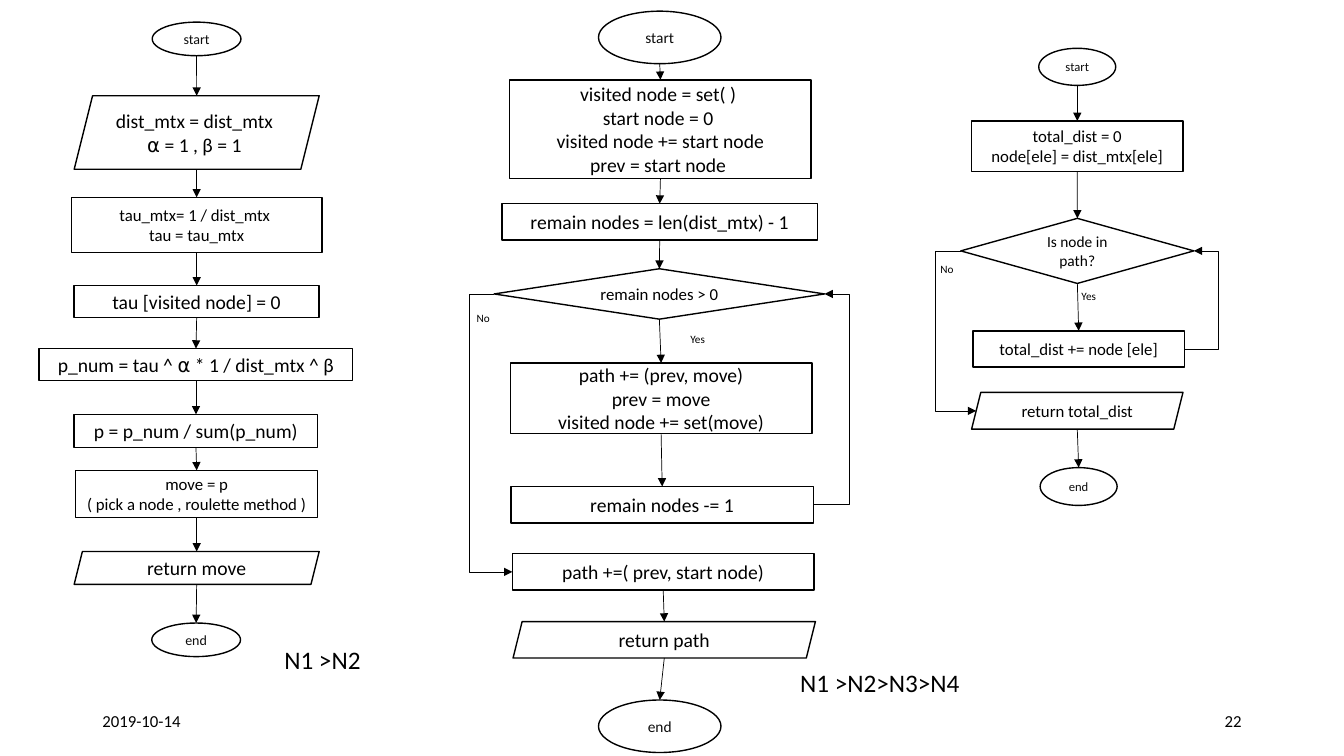
from itertools import pairwise

from lxml.etree import SubElement
from pptx import Presentation
from pptx.dml.color import RGBColor
from pptx.enum.shapes import MSO_CONNECTOR, MSO_SHAPE
from pptx.enum.text import MSO_ANCHOR, PP_ALIGN
from pptx.oxml.ns import qn
from pptx.util import Pt

BLACK = RGBColor(0, 0, 0)
SOFT = RGBColor(0x0D, 0x0D, 0x0D)
FONT = "Calibri"

BOX = MSO_SHAPE.RECTANGLE
DATA = MSO_SHAPE.PARALLELOGRAM
TEST = MSO_SHAPE.DIAMOND
OVAL = MSO_SHAPE.OVAL
JOINED = (BOX, TEST)
TOP, BOTTOM = 0, 2

# Each step: kind, left, top, width, height, text size, text
MOVE = [
    (OVAL, 108.7, 15.8, 63.4, 24, 10, "start"),
    (DATA, 53, 68.4, 175, 52.5, 14, "dist_mtx = dist_mtx \n⍺ = 1 , β = 1 "),
    (BOX, 51, 141, 179, 39.5, 12, "tau_mtx= 1 / dist_mtx \ntau = tau_mtx"),
    (BOX, 53, 204, 175, 23, 14, "tau [visited node] = 0"),
    (BOX, 28, 249, 224, 23, 14, "p_num = tau ^ ⍺ * 1 / dist_mtx ^ β"),
    (BOX, 53, 296, 174, 23.5, 14, "p = p_num / sum(p_num)"),
    (BOX, 54, 336, 173, 33.5, 12,
     "move = p\n( pick a node , roulette method )"),
    (DATA, 53, 394, 175, 23.4, 14, "return move"),
    (OVAL, 108.4, 445, 63.4, 24, 10, "end"),
]
PATH = [
    (OVAL, 427.5, 8, 87.5, 37.5, 11, "start"),
    (BOX, 364, 57, 215.5, 70.5, 14,
     "visited node = set( ) \nstart node = 0 \n"
     "visited node += start node\nprev = start node "),
    (BOX, 358.5, 145.5, 225.5, 26, 14, "remain nodes = len(dist_mtx) - 1"),
    (TEST, 353, 192, 236, 36, 12, "remain nodes > 0"),
    (BOX, 364.5, 259.3, 215.5, 50.5, 14,
     "path += (prev, move)\nprev = move\nvisited node += set(move)"),
    (BOX, 365, 347.5, 216, 26, 14, "remain nodes -= 1"),
    (BOX, 366, 395.5, 215.5, 26, 14, "path +=( prev, start node)"),
    (DATA, 366.5, 444, 216, 26, 14, "return path"),
    (OVAL, 427.5, 500, 87.5, 37.5, 11, "end"),
]
DIST = [
    (OVAL, 742, 34.5, 55, 26.5, 9, "start"),
    (BOX, 694, 86.4, 151, 36, 12,
     "total_dist = 0\nnode[ele] = dist_mtx[ele]"),
    (TEST, 686.3, 156, 166.5, 46.5, 11, "Is node in path?"),
    (BOX, 695, 236.3, 151, 26, 12, "total_dist += node [ele]"),
    (DATA, 694, 280.3, 151, 26.3, 12, "return total_dist"),
    (OVAL, 743, 334, 55, 27, 9, "end"),
]

# Each label: left, top, width, height, text, format
LABELS = [
    (66, 500.5, 216, 28.8, "2019-10-14",
     dict(size=12, anchor=MSO_ANCHOR.MIDDLE)),
    (678, 500.5, 216, 28.8, "22",
     dict(size=12, anchor=MSO_ANCHOR.MIDDLE, align=PP_ALIGN.RIGHT)),
    (486, 234, 39, 17, "Yes", dict(size=8)),
    (333.4, 219, 33, 17, "No", dict(size=8)),
    (765.4, 203, 39, 17, "Yes", dict(size=8)),
    (664.6, 183.6, 33, 17, "No", dict(size=8)),
    (196, 456.5, 70, 29, "N1 >N2", dict(size=18, wrap=False)),
    (564.5, 473, 130, 29, "N1 >N2>N3>N4", dict(size=18, wrap=False)),
]


def write(shape, text, size, color=BLACK, align=PP_ALIGN.LEFT,
          anchor=MSO_ANCHOR.TOP, wrap=True):
    frame = shape.text_frame
    frame.text = text
    frame.word_wrap = wrap
    frame.vertical_anchor = anchor
    for para in frame.paragraphs:
        para.alignment = align
        para.font.size = Pt(size)
        para.font.name = FONT
        para.font.color.rgb = color


def label(slide, left, top, width, height, text, form):
    box = slide.shapes.add_textbox(Pt(left), Pt(top), Pt(width), Pt(height))
    write(box, text, **form)


def step(slide, kind, left, top, width, height, size, text):
    shape = slide.shapes.add_shape(
        kind, Pt(left), Pt(top), Pt(width), Pt(height))
    shape.shadow.inherit = False
    shape.fill.background()
    shape.line.color.rgb = BLACK
    shape.line.width = Pt(1)
    write(shape, text, size, color=SOFT if kind == OVAL else BLACK,
          align=PP_ALIGN.CENTER, anchor=MSO_ANCHOR.MIDDLE)
    return shape


def arrow(slide, kind, start, end):
    line = slide.shapes.add_connector(kind, *start, *end)
    line.line.color.rgb = BLACK
    line.line.width = Pt(0.5)
    props = line._element.spPr
    SubElement(props.find(qn("a:ln")), qn("a:tailEnd"), type="triangle")
    SubElement(props, qn("a:effectLst"))
    return line


def down(slide, upper, lower):
    start = upper.left + upper.width // 2, upper.top + upper.height
    end = lower.left + lower.width // 2, lower.top
    line = arrow(slide, MSO_CONNECTOR.STRAIGHT, start, end)
    if upper.auto_shape_type in JOINED:
        line.begin_connect(upper, BOTTOM)
    if lower.auto_shape_type in JOINED:
        line.end_connect(lower, TOP)


def side(shape, right=False):
    # A slanted side's middle lies inside the frame
    slant = shape.height // 8 if shape.auto_shape_type == DATA else 0
    edge = shape.left + (shape.width - slant if right else slant)
    return edge, shape.top + shape.height // 2


def detour(slide, start, end, turn):
    line = arrow(slide, MSO_CONNECTOR.ELBOW, start, end)
    ratio = (Pt(turn) - start[0]) / (end[0] - start[0])
    guides = line._element.spPr.find(qn("a:prstGeom")).get_or_add_avLst()
    SubElement(guides, qn("a:gd"), name="adj1",
               fmla=f"val {round(ratio * 100000)}")


def chart(slide, steps, loop=None):
    shapes = [step(slide, *item) for item in steps]
    for place, (upper, lower) in enumerate(pairwise(shapes)):
        if loop is None or place != loop["last"]:
            down(slide, upper, lower)
    if loop:
        test, last = shapes[loop["test"]], shapes[loop["last"]]
        after = shapes[loop["last"] + 1]
        detour(slide, side(test), side(after), loop["left"])
        detour(slide, side(last, True), side(test, True), loop["right"])


def main():
    deck = Presentation()
    deck.slide_width, deck.slide_height = Pt(960), Pt(540)
    slide = deck.slides.add_slide(deck.slide_layouts[6])

    # Three flowcharts, two with a loop
    chart(slide, MOVE)
    chart(slide, PATH, dict(test=3, last=5, left=335, right=607))
    chart(slide, DIST, dict(test=2, last=3, left=668, right=870.5))

    # Footer, branch names and captions
    for item in LABELS:
        label(slide, *item)
    deck.save("out.pptx")


if __name__ == "__main__":
    main()
